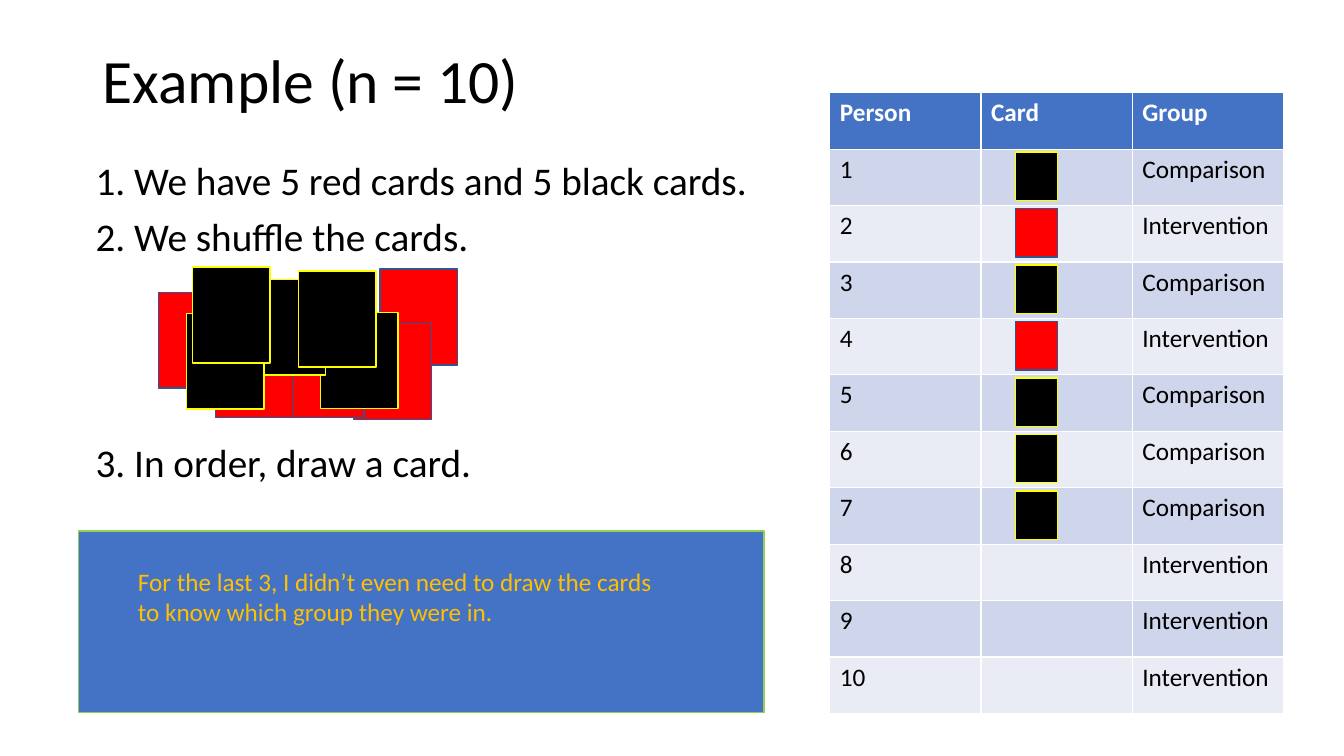
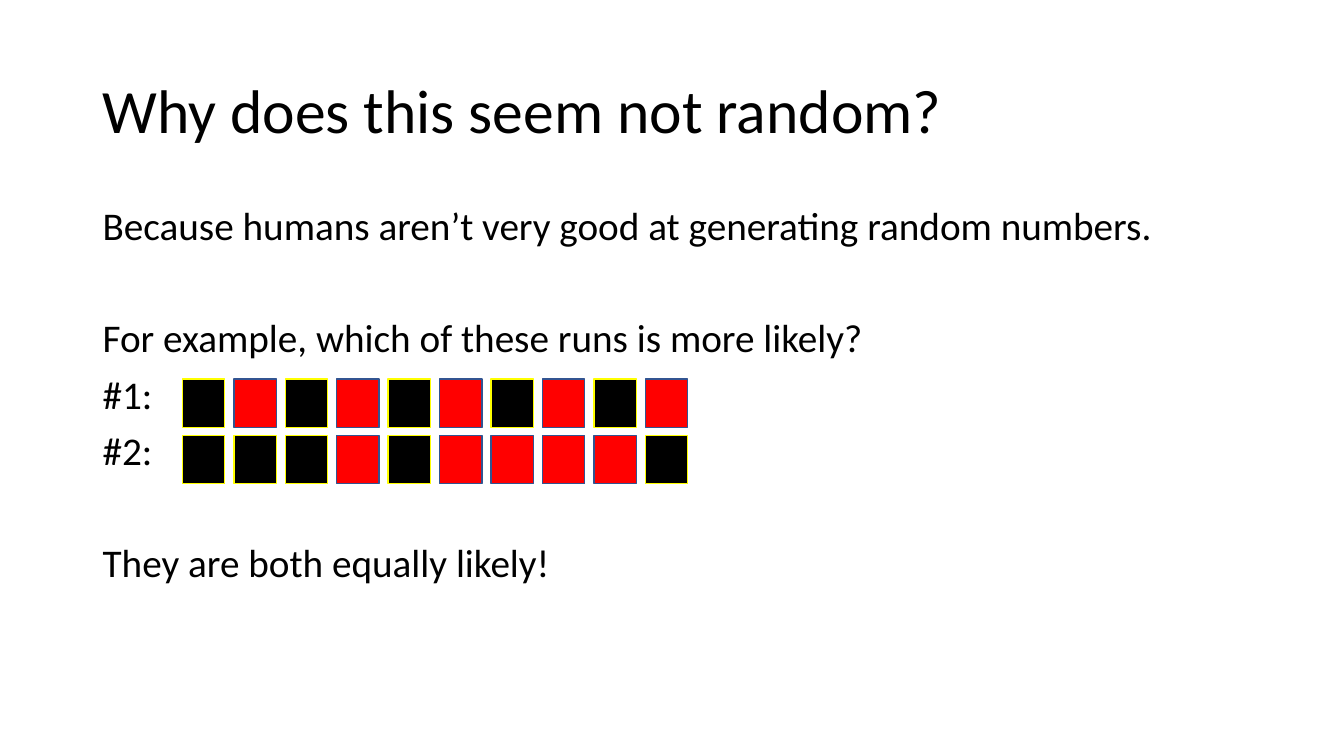
from pptx import Presentation
from pptx.dml.color import RGBColor
from pptx.enum.shapes import MSO_SHAPE
from pptx.enum.text import MSO_ANCHOR, MSO_AUTO_SIZE
from pptx.util import Inches, Pt

FONT = "Calibri"
BLACK = RGBColor(0x00, 0x00, 0x00)
WHITE = RGBColor(0xFF, 0xFF, 0xFF)
RED = RGBColor(0xFF, 0x00, 0x00)
YELLOW = RGBColor(0xFF, 0xFF, 0x00)
NAVY = RGBColor(0x32, 0x54, 0x91)
BLUE = RGBColor(0x44, 0x72, 0xC4)
GREEN = RGBColor(0x92, 0xD0, 0x50)
GOLD = RGBColor(0xFF, 0xC0, 0x00)
BAND_DARK = RGBColor(0xCF, 0xD5, 0xEA)
BAND_LIGHT = RGBColor(0xE9, 0xEB, 0xF5)

CARD_COLORS = {"B": (BLACK, YELLOW), "R": (RED, NAVY)}
SMALL_CARD = (0.42, 0.48)
LARGE_CARD = (0.77, 0.95)


def add_text(s, box, lines, size, color=BLACK, line_spacing=0.9):
    """Add a text box; lines holds (text, points of space before)."""
    tf = s.shapes.add_textbox(*map(Inches, box)).text_frame
    tf.word_wrap = True
    for i, (text, space) in enumerate(lines):
        p = tf.paragraphs[0] if i == 0 else tf.add_paragraph()
        p.line_spacing = line_spacing
        p.space_before = Pt(space)
        r = p.add_run()
        r.text = text
        r.font.name, r.font.size, r.font.color.rgb = FONT, Pt(size), color
    return tf


def add_rect(s, box, fill, line):
    sp = s.shapes.add_shape(MSO_SHAPE.RECTANGLE, *map(Inches, box))
    sp.shadow.inherit = False
    sp.fill.solid()
    sp.fill.fore_color.rgb = fill
    sp.line.color.rgb = line
    sp.line.width = Pt(1)


prs = Presentation()
prs.slide_width, prs.slide_height = Inches(13.33), Inches(7.5)

# Titles and body text
slides = []
for title, title_top, body_box, body in [
    ("Example (n = 10)", 0.1, (0.85, 1.55, 7.52, 4.76), [
        ("1. We have 5 red cards and 5 black cards.", 0),
        ("2. We shuffle the cards.", 10),
        ("3. In order, draw a card.", 131),
    ]),
    ("Why does this seem not random?", 0.4, (0.92, 2, 11.5, 4.76), [
        ("Because humans aren’t very good at generating random numbers.", 0),
        ("For example, which of these runs is more likely?", 50),
        ("#1:", 10),
        ("#2:", 10),
        ("They are both equally likely!", 50),
    ]),
]:
    s = prs.slides.add_slide(prs.slide_layouts[6])
    tf = add_text(s, (0.92, title_top, 11.5, 1.45), [(title, 0)], 44)
    tf.vertical_anchor = MSO_ANCHOR.MIDDLE
    add_text(s, body_box, body, 28)
    slides.append(s)
example, runs = slides

# Shuffled pile, bottom card first
pile = {
    "R": [(3.77, 2.67), (3.51, 3.21), (2.84, 3.19), (1.57, 2.9), (2.14, 3.19)],
    "B": [(3.18, 3.1), (2.46, 2.77), (1.85, 3.11), (1.91, 2.65), (2.96, 2.69)],
}
for kind, places in pile.items():
    for place in places:
        add_rect(example, place + LARGE_CARD, *CARD_COLORS[kind])

# Allocation table
DRAWN = "BRBRBBB"
GROUPS = {"B": "Comparison", "R": "Intervention"}
ROW_HEIGHT = 0.56
rows = [("Person", "Card", "Group")]
rows += [(str(i), "", GROUPS[kind]) for i, kind in enumerate(DRAWN + "RRR", 1)]
table = example.shapes.add_table(
    len(rows), 3, Inches(8.23), Inches(0.92), Inches(4.5),
    Inches(ROW_HEIGHT * len(rows))).table
for i, row in enumerate(rows):
    header = i == 0
    for j, text in enumerate(row):
        cell = table.cell(i, j)
        cell.fill.solid()
        cell.fill.fore_color.rgb = (
            BLUE if header else BAND_DARK if i % 2 else BAND_LIGHT)
        if text:
            r = cell.text_frame.paragraphs[0].add_run()
            r.text = text
            r.font.name, r.font.size, r.font.bold = FONT, Pt(18), header
            r.font.color.rgb = WHITE if header else BLACK
for i, kind in enumerate(DRAWN):
    add_rect(example, (10.07, 1.51 + i * ROW_HEIGHT) + SMALL_CARD,
             *CARD_COLORS[kind])

# Remark
add_rect(example, (0.78, 5.27, 6.8, 1.8), BLUE, GREEN)
tf = add_text(example, (1.27, 5.57, 5.4, 0.71), [
    ("For the last 3, I didn’t even need to draw the cards to know which "
     "group they were in.", 0)], 18, GOLD, 1)
tf.auto_size = MSO_AUTO_SIZE.SHAPE_TO_FIT_TEXT

# Two runs of ten cards
for top, run in [(3.76, "BRBRBRBRBR"), (4.32, "BBBRBRRRRB")]:
    for i, kind in enumerate(run):
        add_rect(runs, (1.81 + i * 0.51, top) + SMALL_CARD, *CARD_COLORS[kind])

prs.save("out.pptx")
